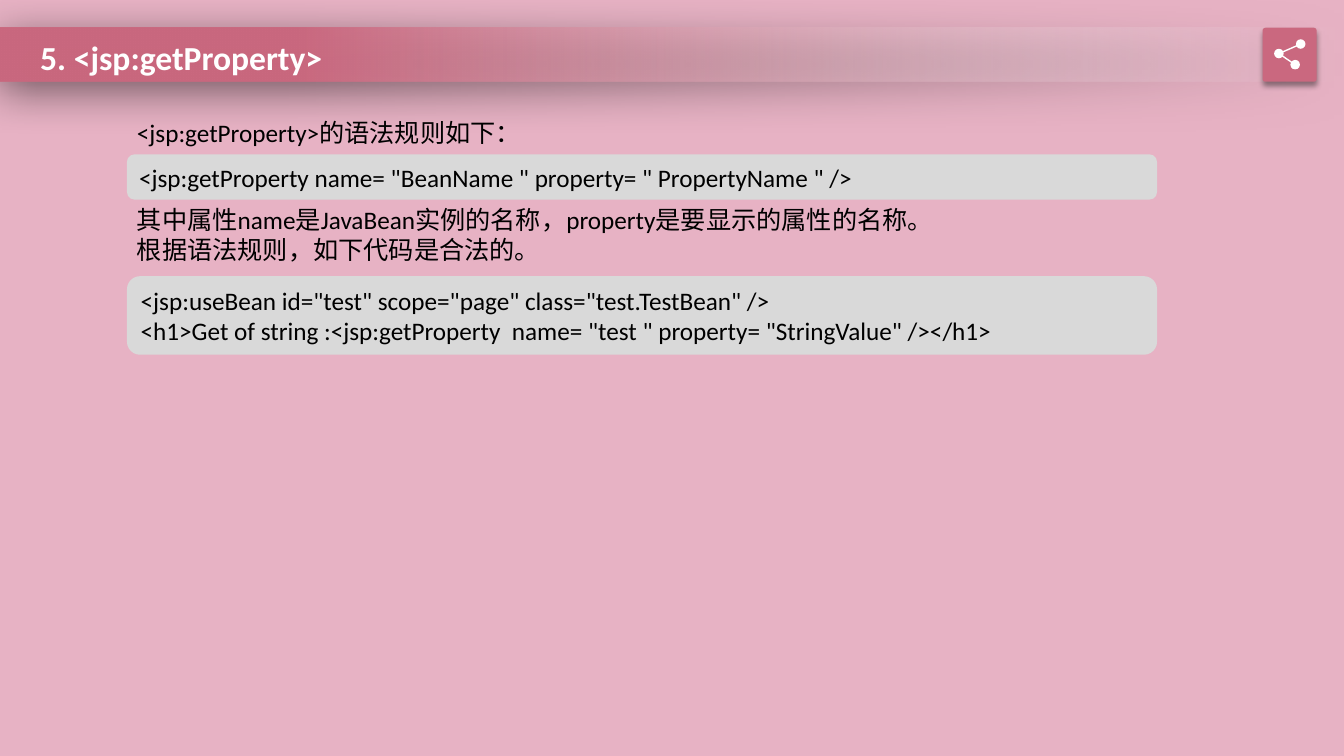
"""Build the slide on the syntax of <jsp:getProperty>."""
from lxml import etree
from pptx import Presentation
from pptx.dml.color import RGBColor
from pptx.enum.shapes import MSO_CONNECTOR, MSO_SHAPE
from pptx.enum.text import MSO_ANCHOR, MSO_AUTO_SIZE, PP_ALIGN
from pptx.oxml.ns import qn
from pptx.util import Cm, Pt

RECT, ROUND, OVAL = MSO_SHAPE.RECTANGLE, MSO_SHAPE.ROUNDED_RECTANGLE, MSO_SHAPE.OVAL
LINE = MSO_CONNECTOR.STRAIGHT
TOP, MIDDLE = MSO_ANCHOR.TOP, MSO_ANCHOR.MIDDLE
LEFT, GROW = PP_ALIGN.LEFT, MSO_AUTO_SIZE.SHAPE_TO_FIT_TEXT

THEME = {
    "back": RGBColor.from_string("E7B2C4"),
    "rose": RGBColor.from_string("CA687F"),
    "fade": RGBColor.from_string("F7FAFD"),
    "code": RGBColor.from_string("D9D9D9"),
    "white": RGBColor.from_string("FFFFFF"),
    "black": RGBColor.from_string("000000"),
    "font": "Calibri",
    "head": Pt(24),
    "body": Pt(18),
}
HEAD = {"name": THEME["font"], "size": THEME["head"], "bold": True}
BODY = {"name": THEME["font"], "size": THEME["body"], "bold": False}


def draw(kind, box, fill, shade=None):
    """Add a filled shape without outline; shade is alpha, blur, distance, angle."""
    shape = slide.shapes.add_shape(kind, *map(Cm, box))
    shape.fill.solid()
    shape.fill.fore_color.rgb = fill
    shape.line.fill.background()
    shape.shadow.inherit = False
    if shade:
        alpha, blur, dist, angle = shade
        glow = etree.SubElement(
            shape.element.spPr.find(qn("a:effectLst")), qn("a:outerShdw"),
            blurRad=str(Pt(blur)), dist=str(Pt(dist)), dir=str(angle * 60000),
            algn="ctr", rotWithShape="0")
        tint = etree.SubElement(glow, qn("a:srgbClr"), val=str(THEME["black"]))
        etree.SubElement(tint, qn("a:alpha"), val=str(alpha * 1000))
    return shape


def write(shape, lines, style, ink, anchor=TOP, wrap=True):
    """Fill a shape with left-aligned paragraphs."""
    frame = shape.text_frame
    frame.text = "\n".join(lines)
    layout = {"word_wrap": wrap, "auto_size": GROW, "vertical_anchor": anchor}
    for key, value in layout.items():
        setattr(frame, key, value)
    for para in frame.paragraphs:
        para.alignment = LEFT
        for run in para.runs:
            for key, value in style.items():
                setattr(run.font, key, value)
            run.font.color.rgb = ink


deck = Presentation()
deck.slide_width, deck.slide_height = Cm(33.87), Cm(19.05)
slide = deck.slides.add_slide(deck.slide_layouts[5])
slide.background.fill.solid()
slide.background.fill.fore_color.rgb = THEME["back"]

bar = draw(RECT, (0, 0.7, 33.87, 1.36), THEME["rose"], (50, 31, 6, 97))
bar.fill.gradient()
bar.fill.gradient_angle = 180
for stop, (place, color) in zip(bar.fill.gradient_stops,
                                ((0, THEME["fade"]), (0.78, THEME["rose"]))):
    stop.position = place
    stop.color.rgb = color
clear = next(bar.element.iter(qn("a:srgbClr")))
etree.SubElement(clear, qn("a:alpha"), val="0")

button = draw(ROUND, (31.82, 0.7, 1.36, 1.36), THEME["rose"], (40, 4, 3, 90))
button.adjustments[0] = 0.05

hub, *ends = (32.23, 1.35), (32.78, 1.11), (32.64, 1.63)
for end in ends:
    link = slide.shapes.add_connector(LINE, *map(Cm, hub + end))
    link.line.color.rgb = THEME["white"]
    link.line.width = Pt(1)
    etree.SubElement(link.element.spPr, qn("a:effectLst"))
for x, y in (hub, *ends):
    draw(OVAL, (x - 0.12, y - 0.12, 0.24, 0.24), THEME["white"])

title = slide.shapes.title
title.element.getparent().append(title.element)
place = {"left": 0.76, "top": 0.79, "width": 10.31, "height": 1.28}
for key, value in place.items():
    setattr(title, key, Cm(value))
write(title, ["5. <jsp:getProperty>"], HEAD, THEME["white"])

BLOCKS = (
    (False, 2.82, 10.29, 1.02, ["<jsp:getProperty>的语法规则如下："]),
    (True, 3.89, 25.96, 1.14,
     ['<jsp:getProperty name= "BeanName " property= " PropertyName " />']),
    (False, 5.03, 24.92, 1.8,
     ["其中属性name是JavaBean实例的名称，property是要显示的属性的名称。",
      "根据语法规则，如下代码是合法的。"]),
    (True, 6.96, 25.96, 1.98,
     ['<jsp:useBean id="test" scope="page" class="test.TestBean" />',
      '<h1>Get of string :<jsp:getProperty  name= "test " property= "StringValue" /></h1>']),
)
for code, top, width, height, lines in BLOCKS:
    box = (3.2, top, width, height)
    if code:
        write(draw(ROUND, box, THEME["code"]), lines, BODY, THEME["black"], MIDDLE)
    else:
        note = slide.shapes.add_textbox(*map(Cm, box))
        write(note, lines, BODY, THEME["black"], wrap=len(lines) > 1)

deck.save("out.pptx")
